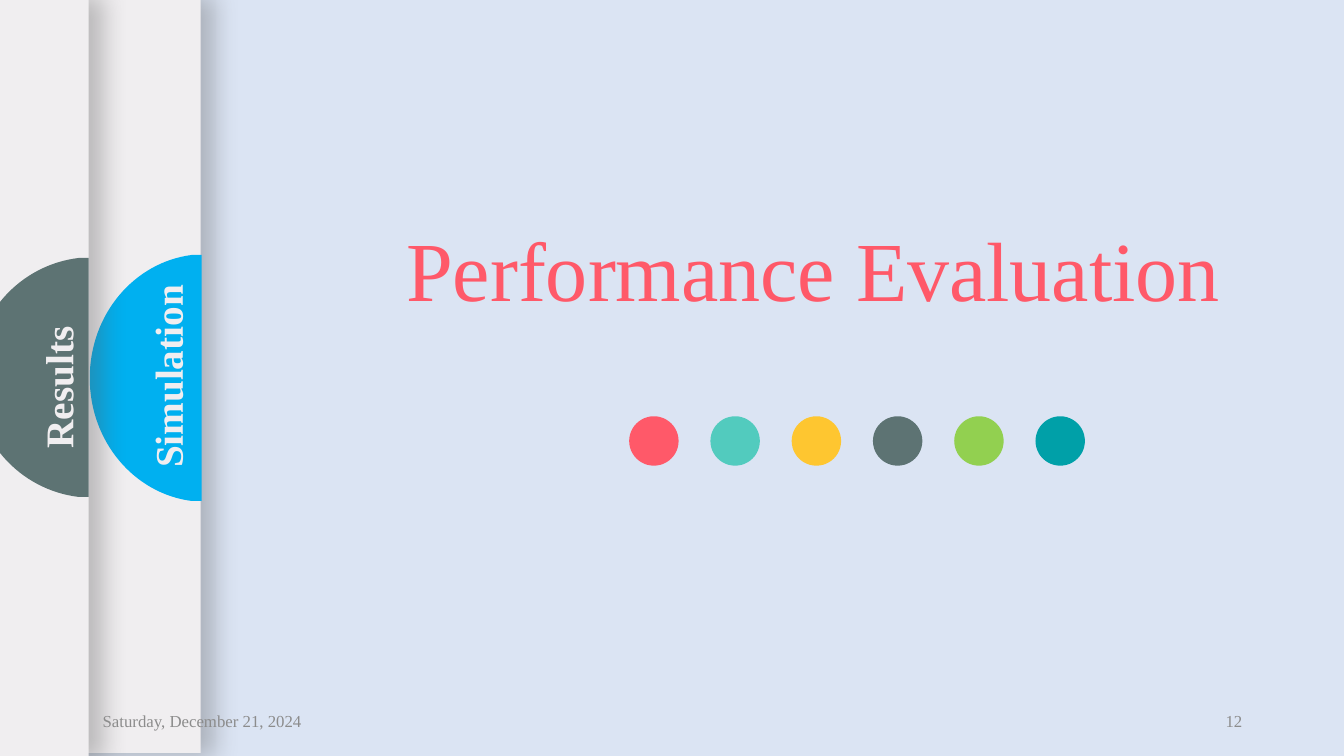
from dataclasses import dataclass

from lxml import etree
from pptx import Presentation
from pptx import util as u
from pptx.dml.color import RGBColor
from pptx.enum import shapes, text
from pptx.oxml import ns


@dataclass(frozen=True)
class Theme:
    """Colours, font and type sizes of the slide."""
    font: str = "Times New Roman"
    background: str = "DBE4F3"
    panel: str = "F0EEF0"
    shadow: str = "595959"
    simulation: str = "00B0F0"
    results: str = "5D7373"
    title: str = "FF5969"
    footer: str = "8C8C8C"
    dots: tuple = ("FF5969", "52CBBE", "FEC630", "5D7373", "92D050", "00A0A8")
    title_size: int = 60
    tab_size: int = 28
    footer_size: int = 12


THEME = Theme()


def paint(shape, color):
    """Give a shape a plain fill without line or shadow."""
    shape.shadow.inherit = False
    shape.fill.solid()
    shape.fill.fore_color.rgb = RGBColor.from_string(color)
    shape.line.fill.background()


def cast_shadow(shape):
    """Throw a soft shadow to the right of a shape."""
    effects = shape._element.spPr.find(ns.qn("a:effectLst"))
    shadow = etree.SubElement(
        effects, ns.qn("a:outerShdw"), blurRad=str(u.Pt(17)),
        dist=str(u.Pt(3)), dir="0", sx="101000", sy="101000",
        algn="l", rotWithShape="0")
    color = etree.SubElement(shadow, ns.qn("a:srgbClr"), val=THEME.shadow)
    etree.SubElement(color, ns.qn("a:alpha"), val="35000")


def add_label(slide, box, words, size, color, align, bold=False,
              anchor=text.MSO_ANCHOR.TOP, fit=text.MSO_AUTO_SIZE.NONE):
    """Write one line of text in a box."""
    label = slide.shapes.add_textbox(*map(u.Inches, box))
    frame = label.text_frame
    frame_format = {"word_wrap": True, "auto_size": fit, "vertical_anchor": anchor}
    for name, value in frame_format.items():
        setattr(frame, name, value)
    line = frame.paragraphs[0]
    line.alignment = align
    run = line.add_run()
    run.text = words
    run_format = {"name": THEME.font, "size": u.Pt(size), "bold": bold}
    for name, value in run_format.items():
        setattr(run.font, name, value)
    run.font.color.rgb = RGBColor.from_string(color)
    return label


def add_half_disc(slide, box, color):
    """Draw a half disc, flat at the right, with two curves that fill a box."""
    left, top, width, height = map(u.Inches, box)
    shoulder = 0.91
    corners = [(1, 0), (1, 1), (shoulder, 1), (0, 0.5), (shoulder, 0)]
    outline = [(int(left + x * width), int(top + y * height)) for x, y in corners]
    builder = slide.shapes.build_freeform(*outline[0])
    builder.add_line_segments(outline[1:], close=True)
    disc = builder.convert_to_shape()
    paint(disc, color)
    curves = [[(0.4, 0.97), (0, 0.76), (0, 0.5)],
              [(0, 0.24), (0.4, 0.03), (shoulder, 0)]]
    segments = list(disc._element.iter(ns.qn("a:lnTo")))[2:4]
    for segment, points in zip(segments, curves):
        curve = etree.Element(ns.qn("a:cubicBezTo"))
        for x, y in points:
            etree.SubElement(curve, ns.qn("a:pt"),
                             x=str(int(x * width)), y=str(int(y * height)))
        segment.getparent().replace(segment, curve)


def add_tab(slide, panel_box, disc_box, label_box, words, color):
    """Build a side panel with its half disc and upright label."""
    panel = slide.shapes.add_shape(
        shapes.MSO_SHAPE.RECTANGLE, *map(u.Inches, panel_box))
    paint(panel, THEME.panel)
    cast_shadow(panel)
    add_half_disc(slide, disc_box, color)
    label = add_label(slide, label_box, words, THEME.tab_size, THEME.panel,
                      text.PP_ALIGN.CENTER, bold=True,
                      fit=text.MSO_AUTO_SIZE.SHAPE_TO_FIT_TEXT)
    label.rotation = 270


def add_footer(slide, box, date, number):
    """Set the date at the left and the slide number at the right of a box."""
    left, top, width, height = box
    field = 3
    for x, words, align in ((left, date, text.PP_ALIGN.LEFT),
                            (left + width - field, number, text.PP_ALIGN.RIGHT)):
        add_label(slide, (x, top, field, height), words, THEME.footer_size,
                  THEME.footer, align, anchor=text.MSO_ANCHOR.MIDDLE)


def add_dots(slide, box):
    """Spread the coloured dots evenly over the width of a box."""
    left, top, width, size = box
    step = (width - size) / (len(THEME.dots) - 1)
    for index, color in enumerate(THEME.dots):
        dot = slide.shapes.add_shape(
            shapes.MSO_SHAPE.OVAL,
            *map(u.Inches, (left + index * step, top, size, size)))
        paint(dot, color)


def build_section_slide(deck):
    """Compose the section slide."""
    slide = deck.slides.add_slide(deck.slide_layouts[6])
    backdrop = slide.background.fill
    backdrop.solid()
    backdrop.fore_color.rgb = RGBColor.from_string(THEME.background)
    add_tab(slide, (-7.48, 0, 9.47, 7.47), (0.89, 2.53, 1.11, 2.44),
            (0.48, 3.45, 2.36, 0.57), "Simulation", THEME.simulation)
    add_tab(slide, (-8.48, 0, 9.36, 7.5), (-0.26, 2.56, 1.14, 2.37),
            (-0.61, 3.56, 2.37, 0.57), "Results", THEME.results)
    add_footer(slide, (0.92, 6.95, 11.5, 0.4), "Saturday, December 21, 2024", "12")
    add_label(slide, (3.87, 2.11, 8.39, 1.11), "Performance Evaluation",
              THEME.title_size, THEME.title, text.PP_ALIGN.CENTER,
              fit=text.MSO_AUTO_SIZE.SHAPE_TO_FIT_TEXT)
    add_dots(slide, (6.24, 4.13, 4.52, 0.49))


def main():
    """Create the deck and save it."""
    deck = Presentation()
    deck.slide_width, deck.slide_height = u.Inches(13.33), u.Inches(7.5)
    build_section_slide(deck)
    deck.save("out.pptx")


if __name__ == "__main__":
    main()
